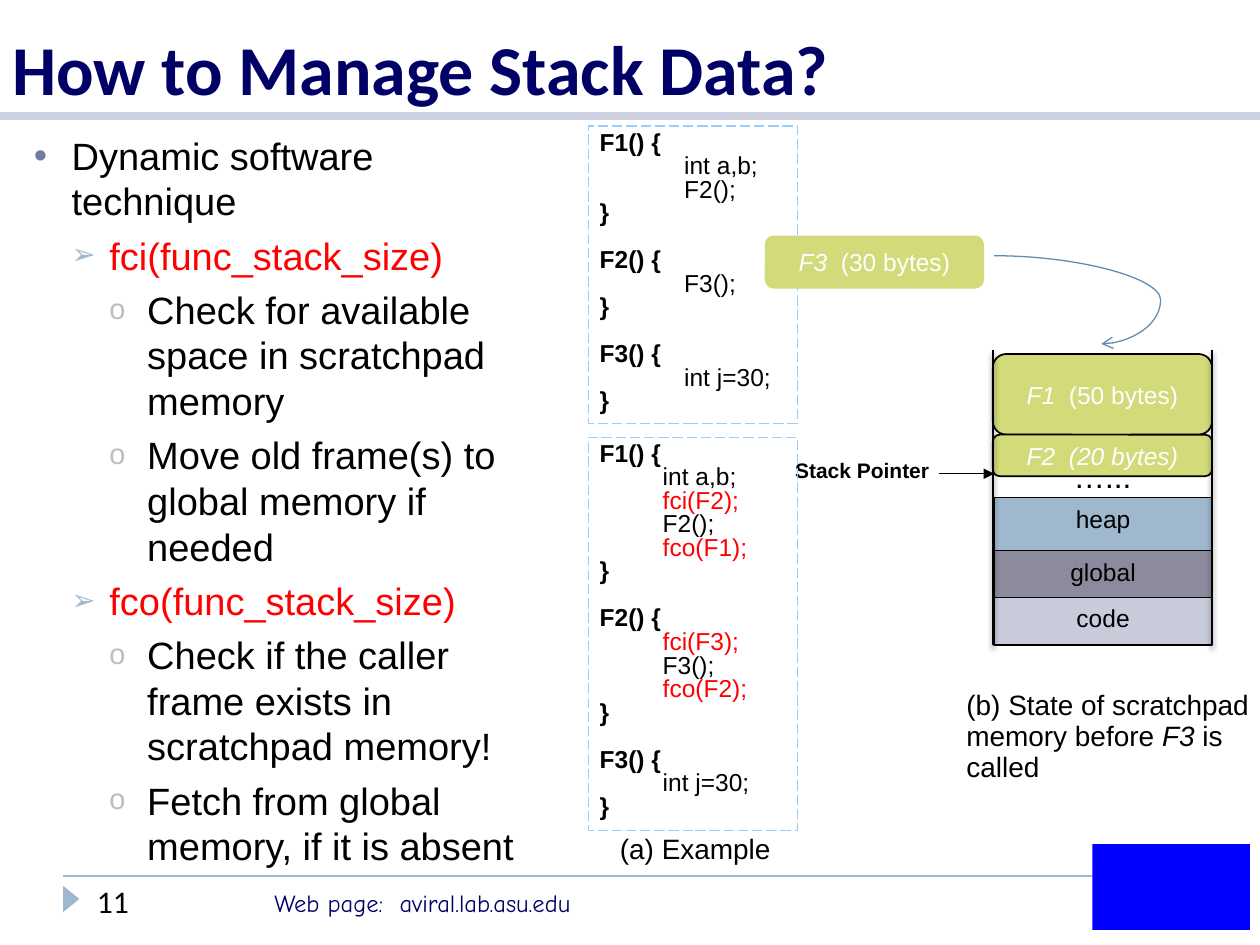
"""Build the slide on managing stack data in scratchpad memory."""
from dataclasses import dataclass
from typing import Optional

from lxml import etree
from pptx import Presentation, util as u
from pptx.dml.color import RGBColor
from pptx.enum import dml, shapes, text
from pptx.oxml.ns import qn

COLORS = {
    "navy": "000066", "black": "000000", "white": "FFFFFF", "red": "FF0000",
    "blue": "0000FF", "rule": "CCD0E0", "steel": "9FB8CD", "slate": "727CA3",
    "silver": "BDBDBD", "sky": "99CCFF", "frame": "D2DA7A", "curve": "638CAE",
    "global": "8B8B9D", "code": "C7CBDA",
}
COLS, ROWS = 100, 75
INSETS = (1, 0.5, 1, 0.5)
LABEL_INSETS = (0.9, 0.4, 0.9, 0.4)
CODE_INSETS = (0.9, 0.5, 0.9, 0.5)
KIND, ALIGN, ANCHOR = shapes.MSO_SHAPE, text.PP_ALIGN, text.MSO_ANCHOR


@dataclass(frozen=True)
class Area:
    col: float
    row: float
    cols: float
    rows: float


@dataclass(frozen=True)
class Style:
    size: float
    font: str = "Arial"
    color: str = "black"
    bold: bool = False
    italic: bool = False


@dataclass(frozen=True)
class Level:
    bullet: str
    color: str
    scale: int
    text_color: str


@dataclass(frozen=True)
class Block:
    area: Area
    fill: str
    runs: tuple
    line: Optional[float] = None
    anchor: ANCHOR = ANCHOR.MIDDLE


@dataclass(frozen=True)
class Listing:
    area: Area
    indent: float
    lines: tuple


prs = Presentation()
prs.slide_width, prs.slide_height = u.Inches(10), u.Inches(7.5)
s = prs.slides.add_slide(prs.slide_layouts[6])


def x(cols: float) -> int:
    return int(prs.slide_width * cols / COLS)


def y(rows: float) -> int:
    return int(prs.slide_height * rows / ROWS)


def rgb(name: str) -> RGBColor:
    return RGBColor.from_string(COLORS[name])


def frame(area: Area) -> tuple:
    return x(area.col), y(area.row), x(area.cols), y(area.rows)


def add_run(p, words: str, style: Style) -> None:
    r = p.add_run()
    r.text = words
    f = r.font
    f.name, f.size, f.bold, f.italic = style.font, u.Pt(style.size), style.bold, style.italic
    f.color.rgb = rgb(style.color)


def set_frame(tf, insets: tuple = INSETS, anchor: ANCHOR = ANCHOR.TOP) -> None:
    tf.word_wrap, tf.vertical_anchor = True, anchor
    tf.margin_left, tf.margin_top, tf.margin_right, tf.margin_bottom = (
        x(insets[0]), y(insets[1]), x(insets[2]), y(insets[3]))


def next_paragraph(tf, index: int):
    return tf.add_paragraph() if index else tf.paragraphs[0]


def add_label(area: Area, runs: tuple, insets: tuple = INSETS, spacing: float = 1,
              align: ALIGN = ALIGN.LEFT, anchor: ANCHOR = ANCHOR.TOP) -> None:
    tf = s.shapes.add_textbox(*frame(area)).text_frame
    set_frame(tf, insets, anchor)
    p = tf.paragraphs[0]
    p.alignment, p.line_spacing = align, spacing
    for words, style in runs:
        add_run(p, words, style)


def add_shape(kind: KIND, area: Area, fill: Optional[str] = None,
              line: Optional[str] = None, width: float = 0.75):
    sp = s.shapes.add_shape(kind, *frame(area))
    sp.shadow.inherit = False
    if fill:
        sp.fill.solid()
        sp.fill.fore_color.rgb = rgb(fill)
    else:
        sp.fill.background()
    if line:
        sp.line.color.rgb, sp.line.width = rgb(line), u.Pt(width)
    else:
        sp.line.fill.background()
    return sp


def add_block(kind: KIND, block: Block) -> None:
    line = "black" if block.line else None
    tf = add_shape(kind, block.area, block.fill, line, block.line or 0).text_frame
    set_frame(tf, anchor=block.anchor)
    tf.paragraphs[0].alignment = ALIGN.CENTER
    for words, style in block.runs:
        add_run(tf.paragraphs[0], words, style)


def add_line(start: tuple, end: tuple, color: str, width: float, arrow: str = "",
             bend: int = 0, shadow: bool = False) -> None:
    kind = shapes.MSO_CONNECTOR.CURVE if bend else shapes.MSO_CONNECTOR.STRAIGHT
    c = s.shapes.add_connector(kind, x(start[0]), y(start[1]), x(end[0]), y(end[1]))
    c.line.color.rgb, c.line.width = rgb(color), u.Pt(width)
    if arrow:
        etree.SubElement(c.line._get_or_add_ln(), qn("a:tailEnd"), type=arrow)
    if bend:
        guides = c._element.spPr.find(qn("a:prstGeom")).get_or_add_avLst()
        etree.SubElement(guides, qn("a:gd"), name="adj1", fmla=f"val {bend}")
    effects = etree.SubElement(c._element.spPr, qn("a:effectLst"))
    if shadow:
        outer = etree.SubElement(effects, qn("a:outerShdw"), blurRad=str(u.Pt(3)),
                                 dist=str(u.Pt(2)), dir="5400000", rotWithShape="0")
        tint = etree.SubElement(outer, qn("a:srgbClr"), val=COLORS["black"])
        etree.SubElement(tint, qn("a:alpha"), val="40000")


def add_outline(area: Area, levels: tuple, items: tuple) -> None:
    tf = s.shapes.add_textbox(*frame(area)).text_frame
    set_frame(tf)
    for i, (depth, words) in enumerate(items):
        p, level = next_paragraph(tf, i), levels[depth]
        pPr = p._p.get_or_add_pPr()
        pPr.set("marL", str(x(3 * (depth + 1))))
        pPr.set("indent", str(-x(3)))
        tint = etree.SubElement(pPr, qn("a:buClr"))
        etree.SubElement(tint, qn("a:srgbClr"), val=COLORS[level.color])
        etree.SubElement(pPr, qn("a:buSzPct"), val=str(level.scale * 1000))
        etree.SubElement(pPr, qn("a:buFont"), typeface="Arial")
        etree.SubElement(pPr, qn("a:buChar"), char=level.bullet)
        p.level, p.line_spacing = depth, 1.0
        if i:
            p.space_before = u.Pt(5)
        add_run(p, words, Style(21.7, color=level.text_color))


def add_listing(listing: Listing) -> None:
    sp = add_shape(KIND.RECTANGLE, listing.area, line="sky")
    sp.line.dash_style = dml.MSO_LINE.LONG_DASH
    tf = sp.text_frame
    set_frame(tf, CODE_INSETS)
    for i, words in enumerate(listing.lines):
        p = next_paragraph(tf, i)
        p.alignment, p.line_spacing = ALIGN.LEFT, 0.8
        opens = words.endswith("{")
        outer = opens or words == "}"
        if opens and i:
            p.space_before = u.Pt(13.5)
        if not outer:
            p._p.get_or_add_pPr().set("marL", str(x(listing.indent)))
        color = "red" if words.startswith("fc") else "black"
        add_run(p, words, Style(14, color=color, bold=outer))


def main() -> None:
    caption, plain = Style(16), Style(14)
    light, slanted = Style(14, color="white"), Style(14, color="white", italic=True)
    levels = (Level("•", "slate", 100, "black"), Level("➢", "steel", 76, "red"),
              Level("o", "silver", 76, "black"))
    left, right, width = 78.8, 96.2, 17.4

    add_line((5, 69.5), (86.7, 69.5), "steel", 1)
    add_line((0, 9.2), (COLS, 9.2), "rule", 5)
    add_shape(KIND.ISOSCELES_TRIANGLE, Area(4.6, 70.7, 2.1, 1.3), "steel").rotation = 90
    add_label(Area(20.8, 70, 37.5, 3.4),
              (("Web page:  aviral.lab.asu.edu", Style(14, "Comic Neue", "navy")),))
    add_shape(KIND.RECTANGLE, Area(86.7, 67, 12.5, 6.8), "blue")
    add_label(Area(0, 0, COLS, 9.2),
              (("How to Manage Stack Data?", Style(40, "Calibri", "navy", True)),),
              anchor=ANCHOR.BOTTOM)
    add_label(Area(6.7, 69.5, 14.1, 4), (("11", Style(18, "Calibri")),))
    add_outline(Area(1.7, 10, 42.5, 59), levels, (
        (0, "Dynamic software technique"),
        (1, "fci(func_stack_size)"),
        (2, "Check for available space in scratchpad memory"),
        (2, "Move old frame(s) to global memory if needed"),
        (1, "fco(func_stack_size)"),
        (2, "Check if the caller frame exists in scratchpad memory!"),
        (2, "Fetch from global memory, if it is absent")))

    add_listing(Listing(Area(46.7, 10, 16.6, 23.6), 6.7, (
        "F1() {", "int a,b;", "F2();", "}", "F2() {", "F3();", "}",
        "F3() {", "int j=30;", "}")))
    add_label(Area(48.3, 65.8, 14.9, 3.9), (("(a) Example", caption),), LABEL_INSETS, 0.93)
    add_label(Area(75.8, 54.2, 24.2, 8), (
        ("(b) State of scratchpad memory before ", caption),
        ("F3", Style(16, italic=True)), (" is called", caption)), (0.9, 0.6, 0, 0.4), 0.93)
    add_line((74.5, 37.6), (78.9, 37.6), "black", 0.75, "triangle")
    add_label(Area(62.2, 36.1, 13.2, 2.5), (("Stack Pointer", Style(12, bold=True)),),
              LABEL_INSETS, 0.93)

    for block in (
            Block(Area(left, 28.1, width, 6.4), "frame",
                  (("F1", slanted), ("  (50 bytes)", light)), 1),
            Block(Area(left, 34.5, width, 3.3), "frame", (("F2  (20 bytes)", slanted),), 1),
            Block(Area(60.7, 18.7, width, 4.2), "frame",
                  (("F3", slanted), ("  (30 bytes)", light)))):
        add_block(KIND.ROUNDED_RECTANGLE, block)
    add_line((78.9, 20.3), (87.4, 27.3), "curve", 0.75, "arrow", bend=155400)

    row = 39.5
    for name, fill, rows in (("heap", "steel", 4.2), ("global", "global", 3.7),
                             ("code", "code", 3.8)):
        add_block(KIND.RECTANGLE, Block(Area(78.9, row, 17.3, rows), fill,
                                        ((name, plain),), 0.75, ANCHOR.TOP))
        row += rows
    for side in (left, right):
        add_line((side, 27.8), (side, row), "black", 1.5, shadow=True)
    add_label(Area(80.4, 35.8, 14.2, 4), (("…...", Style(18)),), align=ALIGN.CENTER)
    add_listing(Listing(Area(46.7, 34.7, 16.6, 31.2), 5, (
        "F1() {", "int a,b;", "fci(F2);", "F2();", "fco(F1);", "}",
        "F2() {", "fci(F3);", "F3();", "fco(F2);", "}", "F3() {", "int j=30;", "}")))
    prs.save("out.pptx")


if __name__ == "__main__":
    main()
